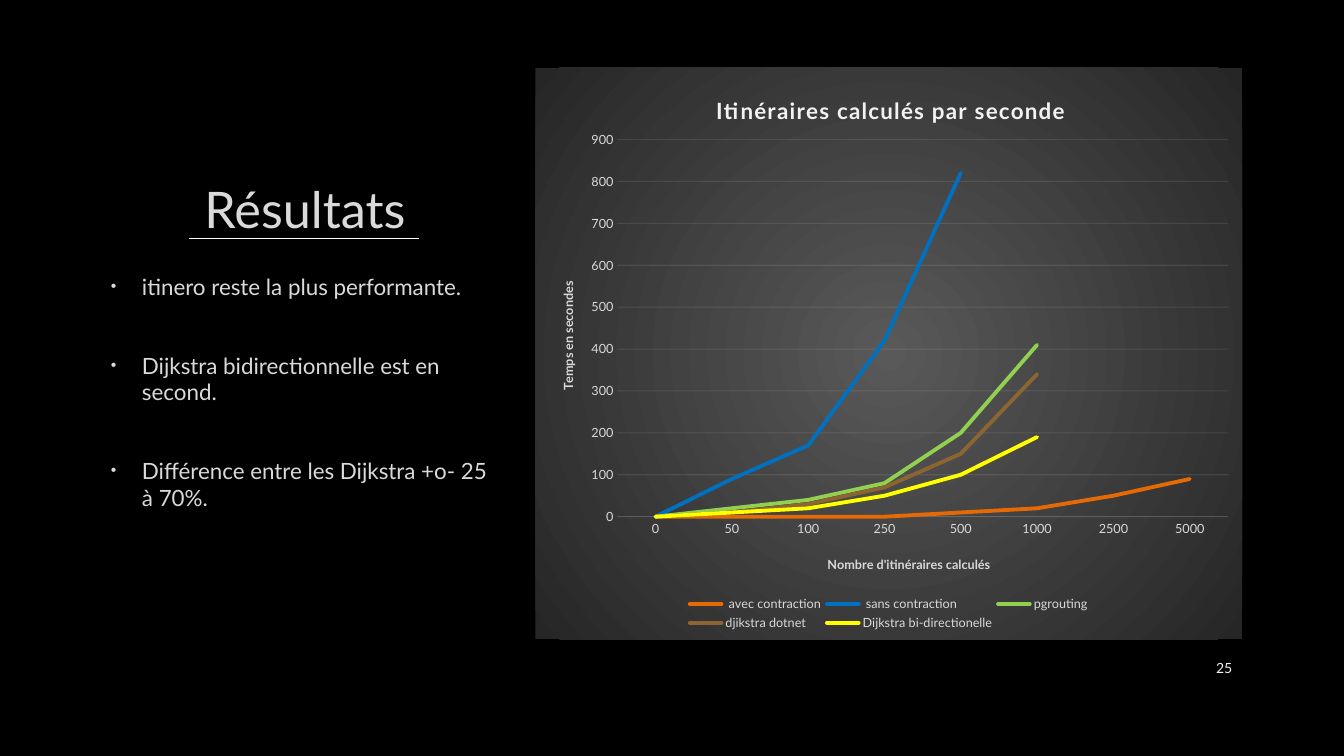
from lxml import etree
from pptx import Presentation
from pptx.chart.data import CategoryChartData
from pptx.dml.color import RGBColor
from pptx.enum.chart import XL_CHART_TYPE, XL_LEGEND_POSITION, XL_TICK_MARK
from pptx.enum.shapes import MSO_CONNECTOR
from pptx.enum.text import MSO_ANCHOR, PP_ALIGN
from pptx.oxml import parse_xml
from pptx.oxml.ns import nsdecls, qn
from pptx.util import Inches, Pt

LINE_CHART = XL_CHART_TYPE.LINE
LEGEND_BOTTOM = XL_LEGEND_POSITION.BOTTOM
NO_TICK = XL_TICK_MARK.NONE
STRAIGHT = MSO_CONNECTOR.STRAIGHT
BOTTOM, MIDDLE = MSO_ANCHOR.BOTTOM, MSO_ANCHOR.MIDDLE
LEFT, CENTER, RIGHT = PP_ALIGN.LEFT, PP_ALIGN.CENTER, PP_ALIGN.RIGHT

FONT = "Lato"
BLACK = RGBColor(0x00, 0x00, 0x00)
WHITE = RGBColor(0xFF, 0xFF, 0xFF)
OFF_WHITE = RGBColor(0xF2, 0xF2, 0xF2)
TEXT_GREY = RGBColor(0xDA, 0xDA, 0xDA)
LABEL_GREY = RGBColor(0xD9, 0xD9, 0xD9)
ORANGE = RGBColor(0xE5, 0x6A, 0x05)
BLUE = RGBColor(0x00, 0x70, 0xC0)
GREEN = RGBColor(0x92, 0xD0, 0x50)
BROWN = RGBColor(0x8C, 0x65, 0x30)
YELLOW = RGBColor(0xFF, 0xFF, 0x00)


def write_text(para, text, size, color, bold=False, align=LEFT, tracking=0):
    para.alignment = align
    span = para.add_run()
    span.text = text
    span.font.name = FONT
    span.font.size = Pt(size)
    span.font.bold = bold
    span.font.color.rgb = color
    if tracking:
        span._r.get_or_add_rPr().set("spc", str(tracking))


def place(element, index, **fractions):
    """Set a chart part's position as fractions of the chart area."""
    for old in element.findall(qn("c:layout")):
        element.remove(old)
    layout = parse_xml(f"<c:layout {nsdecls('c')}><c:manualLayout/></c:layout>")
    if element.tag == qn("c:plotArea"):
        etree.SubElement(layout[0], qn("c:layoutTarget")).set("val", "inner")
    for name in ("xMode", "yMode"):
        etree.SubElement(layout[0], qn(f"c:{name}")).set("val", "edge")
    for name, value in fractions.items():
        etree.SubElement(layout[0], qn(f"c:{name}")).set("val", str(value))
    element.insert(index, layout)


# Slide
deck = Presentation()
deck.slide_width, deck.slide_height = Inches(13.33), Inches(7.5)
page = deck.slides.add_slide(deck.slide_layouts[6])
page.background.fill.solid()
page.background.fill.fore_color.rgb = BLACK

# Title
title_box = page.shapes.add_textbox(Inches(1), Inches(0.67), Inches(4.05), Inches(1.75))
title_box.text_frame.word_wrap = True
title_box.text_frame.vertical_anchor = BOTTOM
write_text(title_box.text_frame.paragraphs[0], "Résultats", 36, TEXT_GREY, align=CENTER)

# Bullets
findings = [
    "itinero reste la plus performante.",
    "Dijkstra bidirectionnelle est en second.",
    "Différence entre les Dijkstra +o- 25 à 70%.",
]
body_box = page.shapes.add_textbox(Inches(1), Inches(2.66), Inches(4.05), Inches(3.67))
body = body_box.text_frame
body.word_wrap = True
for number, finding in enumerate(findings):
    para = body.add_paragraph() if number else body.paragraphs[0]
    write_text(para, finding, 16, TEXT_GREY)
    para.space_after = Pt(37)
    properties = para._p.get_or_add_pPr()
    properties.set("marL", str(Inches(0.31)))
    properties.set("indent", str(-Inches(0.31)))
    color = etree.SubElement(properties, qn("a:buClr"))
    etree.SubElement(color, qn("a:srgbClr")).set("val", str(TEXT_GREY))
    etree.SubElement(properties, qn("a:buSzPct")).set("val", "70000")
    etree.SubElement(properties, qn("a:buFont")).set("typeface", "Arial")
    etree.SubElement(properties, qn("a:buChar")).set("char", "•")

# Chart data
series_rows = [
    (" avec contraction", ORANGE, [0, 0, 0, 0, 10, 20, 50, 90]),
    (" sans contraction", BLUE, [0, 90, 170, 420, 820, None, None, None]),
    ("pgrouting", GREEN, [0, 20, 40, 80, 200, 410, None, None]),
    ("djikstra dotnet", BROWN, [0, 10, 30, 70, 150, 340, None, None]),
    ("Dijkstra bi-directionelle", YELLOW, [0, 10, 20, 50, 100, 190, None, None]),
]
data = CategoryChartData()
data.categories = ["0", "50", "100", "250", "500", "1000", "2500", "5000"]
for name, _, values in series_rows:
    data.add_series(name, values)
chart = page.shapes.add_chart(
    LINE_CHART, Inches(5.31), Inches(0.67), Inches(7.01), Inches(5.67), data
).chart
chart.font.name, chart.font.size = FONT, Pt(10)
chart.font.color.rgb = WHITE

# Series lines
plot = chart.plots[0]
plot.vary_by_categories = False
for series, (_, color, _) in zip(plot.series, series_rows):
    series.smooth = False
    series.format.line.width = Pt(2.75)
    series.format.line.color.rgb = color
    series.format.line._ln.set("cap", "rnd")

# Axes and gridlines
x_axis, y_axis = chart.category_axis, chart.value_axis
y_axis.minimum_scale, y_axis.maximum_scale, y_axis.major_unit = 0, 900, 100
y_axis.has_major_gridlines = True
for axis in (x_axis, y_axis):
    axis.major_tick_mark = axis.minor_tick_mark = NO_TICK
y_axis.format.line.fill.background()
for line in (x_axis.format.line, y_axis.major_gridlines.format.line):
    line.width = Pt(0.75)
    line.color.rgb = OFF_WHITE
    tint = line._ln.find(".//" + qn("a:srgbClr"))
    etree.SubElement(tint, qn("a:alpha")).set("val", "10000")

# Legend
chart.has_legend = True
chart.legend.position = LEGEND_BOTTOM
chart.legend.include_in_layout = False
for font in (x_axis.tick_labels.font, y_axis.tick_labels.font, chart.legend.font):
    font.name, font.size = FONT, Pt(9)
    font.color.rgb = LABEL_GREY

# Chart titles
titles = [
    (chart.chart_title, "Itinéraires calculés par seconde", 16, OFF_WHITE, 100, 0.25, 0.04),
    (x_axis.axis_title, "Nombre d'itinéraires calculés", 9, LABEL_GREY, 0, 0.41, 0.85),
    (y_axis.axis_title, "Temps en secondes", 9, LABEL_GREY, 0, 0.03, 0.37),
]
for title, text, size, color, tracking, x, y in titles:
    write_text(title.text_frame.paragraphs[0], text, size, color,
               bold=True, align=CENTER, tracking=tracking)
    place(title._element, 1, x=x, y=y)
y_axis.axis_title.text_frame._txBody.bodyPr.set("rot", "-5400000")
y_axis.axis_title.text_frame._txBody.bodyPr.set("vert", "horz")
place(chart.legend._element, 1, x=0.21, y=0.92, w=0.58, h=0.07)
chart_root = chart._chartSpace
place(chart_root.find(".//" + qn("c:plotArea")), 0, x=0.116, y=0.126, w=0.864, h=0.66)

# Radial chart background
chart_root.find(qn("c:chart")).addnext(parse_xml(
    f'<c:spPr {nsdecls("c", "a")}><a:gradFill><a:gsLst>'
    '<a:gs pos="0"><a:srgbClr val="595959"/></a:gs>'
    '<a:gs pos="100000"><a:srgbClr val="262626"/></a:gs></a:gsLst>'
    '<a:path path="circle"><a:fillToRect l="50000" t="50000" r="50000" b="50000"/></a:path>'
    '</a:gradFill><a:ln><a:noFill/></a:ln></c:spPr>'
))

# Title underline
underline = page.shapes.add_connector(
    STRAIGHT, Inches(1.87), Inches(2.37), Inches(4.16), Inches(2.37)
)
underline.line.color.rgb = WHITE
underline.line.width = Pt(0.75)
etree.SubElement(underline._element.spPr, qn("a:effectLst"))

# Page number
number_box = page.shapes.add_textbox(Inches(11.5), Inches(6.43), Inches(0.82), Inches(0.4))
number_box.text_frame.word_wrap = True
number_box.text_frame.vertical_anchor = MIDDLE
write_text(number_box.text_frame.paragraphs[0], "25", 10, OFF_WHITE, align=RIGHT)

deck.save("out.pptx")
